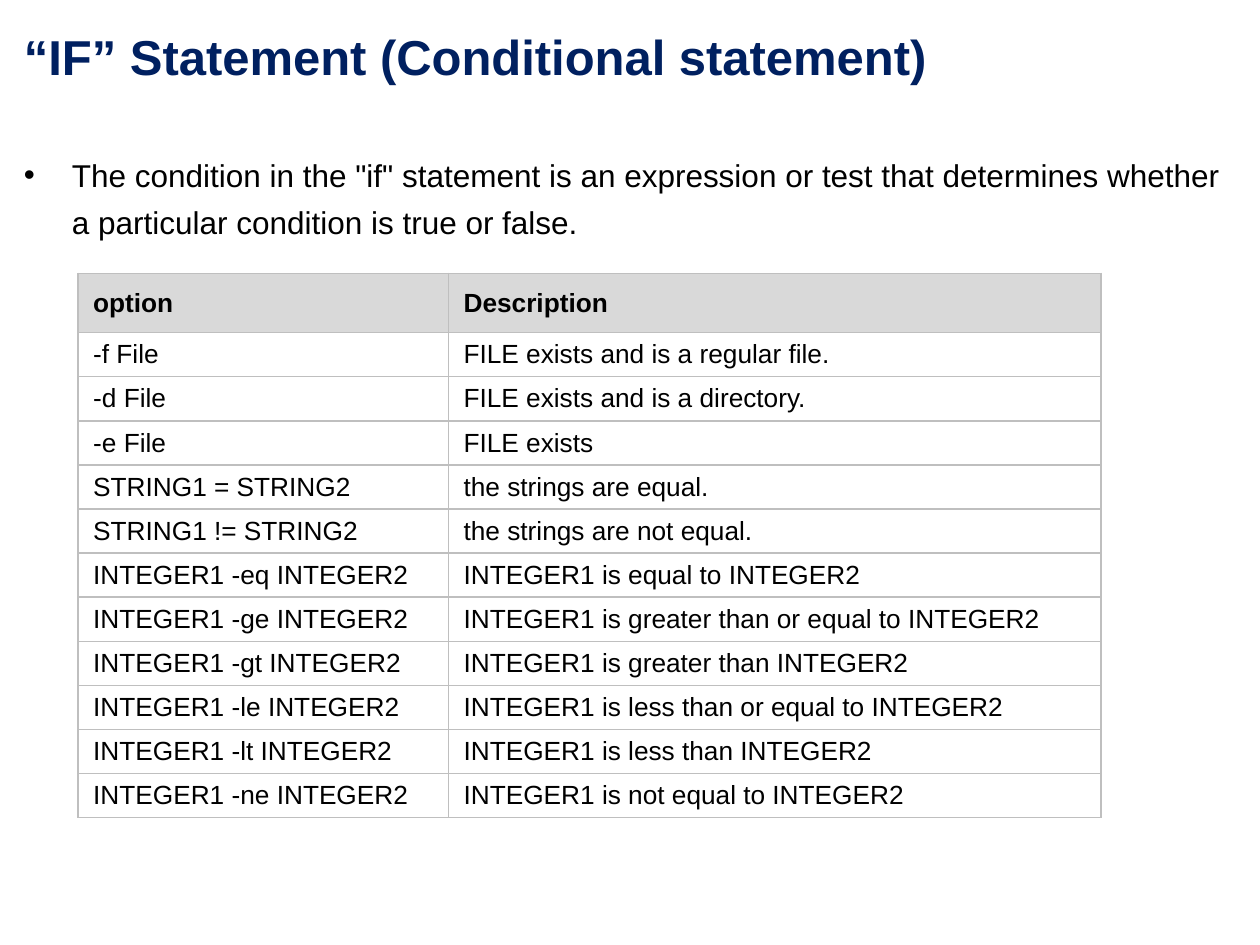
import pptx
import pptx.dml.color
import pptx.enum.text
import pptx.oxml
import pptx.oxml.ns
import pptx.util

Inches, Pt = pptx.util.Inches, pptx.util.Pt
ENUM = pptx.enum.text

TITLE = "“IF” Statement (Conditional statement)"
BODY = (
    'The condition in the "if" statement is an expression or test that '
    "determines whether a particular condition is true or false."
)
ROWS = [
    ("option", "Description"),
    ("-f File", "FILE exists and is a regular file."),
    ("-d File", "FILE exists and is a directory."),
    ("-e File", "FILE exists"),
    ("STRING1 = STRING2", "the strings are equal."),
    ("STRING1 != STRING2", "the strings are not equal."),
    ("INTEGER1 -eq INTEGER2", "INTEGER1 is equal to INTEGER2"),
    ("INTEGER1 -ge INTEGER2", "INTEGER1 is greater than or equal to INTEGER2"),
    ("INTEGER1 -gt INTEGER2", "INTEGER1 is greater than INTEGER2"),
    ("INTEGER1 -le INTEGER2", "INTEGER1 is less than or equal to INTEGER2"),
    ("INTEGER1 -lt INTEGER2", "INTEGER1 is less than INTEGER2"),
    ("INTEGER1 -ne INTEGER2", "INTEGER1 is not equal to INTEGER2"),
]
COLS = (2.94, 5.18)
HEAD, ROW = 0.47, 0.35
COLORS = {
    "title": "002060",
    "text": "000000",
    "head": "D9D9D9",
    "cell": "FFFFFF",
    "line": "BFBFBF",
}


def rgb(key):
    return pptx.dml.color.RGBColor.from_string(COLORS[key])


def write(para, text, size, key="text", bold=False):
    run = para.add_run()
    run.text = text
    font = run.font
    font.name, font.size, font.bold = "Arial", Pt(size), bold
    font.color.rgb = rgb(key)


def place(shape, left, top, width, height, anchor):
    shape.left, shape.top = Inches(left), Inches(top)
    shape.width, shape.height = Inches(width), Inches(height)
    frame = shape.text_frame
    frame.word_wrap = True
    frame.auto_size = ENUM.MSO_AUTO_SIZE.NONE
    frame.vertical_anchor = anchor
    para = frame.paragraphs[0]
    para.alignment = ENUM.PP_ALIGN.LEFT
    para.space_before = Pt(0)
    return para


def bullet(para, indent):
    props = para._p.get_or_add_pPr()
    props.set("marL", str(Inches(indent)))
    props.set("indent", str(-Inches(indent)))
    space = pptx.oxml.ns.nsdecls("a")
    for tag in ('buFont typeface="Arial"', 'buChar char="•"'):
        props.append(pptx.oxml.parse_xml(f"<a:{tag} {space}/>"))


def border(cell):
    props = cell._tc.get_or_add_tcPr()
    space = pptx.oxml.ns.nsdecls("a")
    for side in "LRTB":
        props.append(pptx.oxml.parse_xml(
            f'<a:ln{side} {space} w="{Pt(1)}"><a:solidFill>'
            f'<a:srgbClr val="{COLORS["line"]}"/></a:solidFill></a:ln{side}>'
        ))


def grid(slide):
    high = HEAD + ROW * (len(ROWS) - 1)
    table = slide.shapes.add_table(
        len(ROWS), len(COLS), Inches(0.62), Inches(2.17),
        Inches(sum(COLS)), Inches(high),
    ).table
    table.horz_banding = False
    for col, width in zip(table.columns, COLS):
        col.width = Inches(width)
    for num, texts in enumerate(ROWS):
        head = num == 0
        table.rows[num].height = Inches(HEAD if head else ROW)
        for cell, text in zip(table.rows[num].cells, texts):
            border(cell)
            cell.fill.solid()
            cell.fill.fore_color.rgb = rgb("head" if head else "cell")
            cell.margin_left = cell.margin_right = Inches(0.12)
            cell.margin_top = cell.margin_bottom = Inches(0.11 if head else 0.05)
            cell.vertical_anchor = ENUM.MSO_ANCHOR.MIDDLE
            write(cell.text_frame.paragraphs[0], text, 15, bold=head)


def main():
    deck = pptx.Presentation()
    deck.slide_width, deck.slide_height = Inches(10), Inches(7.5)
    slide = deck.slides.add_slide(deck.slide_layouts[1])
    title, body = slide.placeholders
    para = place(title, 0.09, 0.16, 7.92, 0.57, ENUM.MSO_ANCHOR.MIDDLE)
    write(para, TITLE, 28, "title", True)
    para = place(body, 0.09, 1.11, 9.75, 0.79, ENUM.MSO_ANCHOR.TOP)
    bullet(para, 0.38)
    para.line_spacing = 1.25
    write(para, BODY, 18)
    grid(slide)
    deck.save("out.pptx")


if __name__ == "__main__":
    main()
